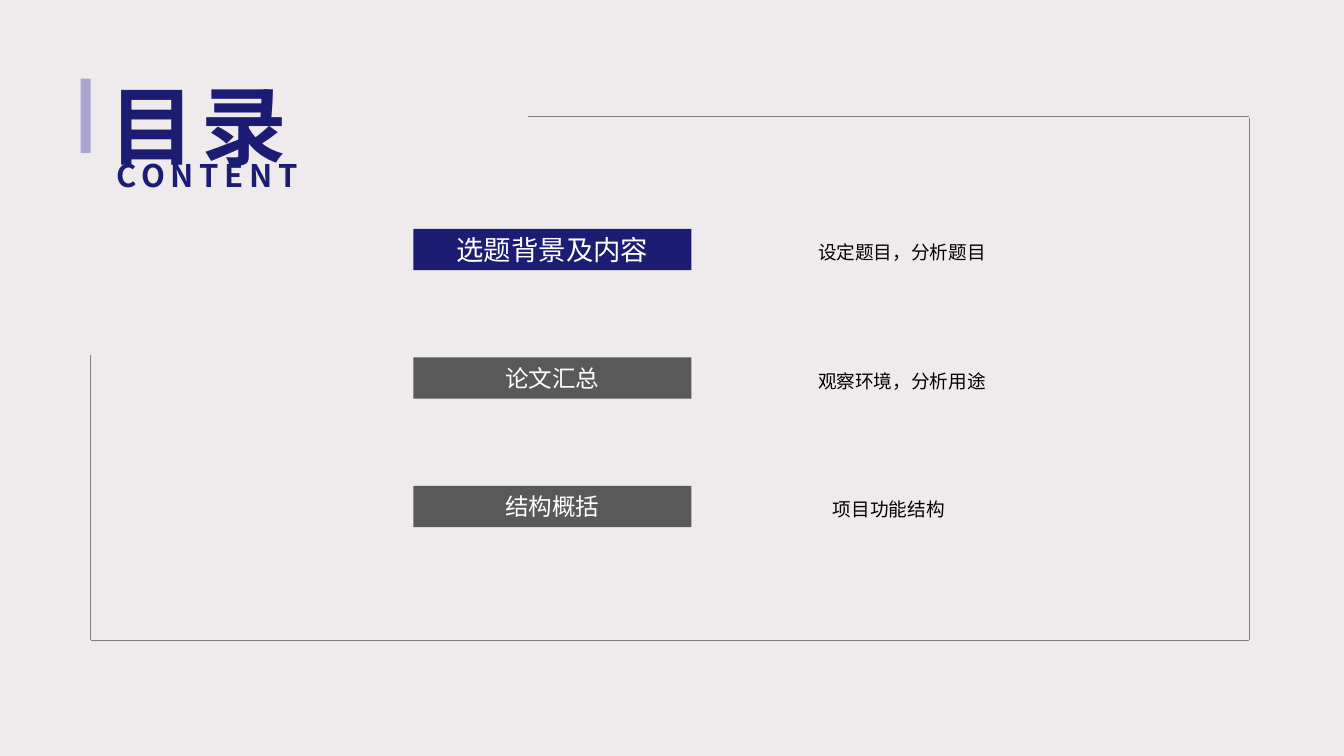
from dataclasses import dataclass

from lxml import etree
from pptx import Presentation
from pptx import util as u
from pptx.dml.color import RGBColor
from pptx.enum import shapes, text
from pptx.oxml.ns import qn

FONT = "Noto Sans CJK SC"
NAVY, GREY, LILAC, LINE = "1C1C73", "595959", "AAA4D1", "808080"
WHITE, BLACK, BACKGROUND = "FFFFFF", "000000", "EFEBEC"

# The slide is a grid of 100 columns by 100 rows
WIDTH, HEIGHT = u.Inches(13.33), u.Inches(7.5)
ENTRY_TOP, NOTE_TOP, ROW_PITCH = 30.27, 28.4, 17


@dataclass
class Box:
    left: float
    top: float
    width: float
    height: float

    def emu(self) -> tuple[int, int, int, int]:
        return (column(self.left), row(self.top),
                column(self.width), row(self.height))


@dataclass
class Entry:
    label: str
    size: float
    fill: str
    note: str
    note_left: float


@dataclass
class FrameLine:
    x1: float
    y1: float
    x2: float
    y2: float


ENTRIES = [
    Entry("选题背景及内容", 19.6, NAVY, "设定题目，分析题目", 56.78),
    Entry("论文汇总", 16.8, GREY, "观察环境，分析用途", 56.78),
    Entry("结构概括", 16.8, GREY, "项目功能结构", 55.8),
]
FRAME = [
    FrameLine(39.3, 15.33, 92.95, 15.33),
    FrameLine(92.95, 15.6, 92.95, 84.67),
    FrameLine(92.95, 84.67, 6.75, 84.67),
    FrameLine(6.75, 84.67, 6.75, 46.93),
]


def column(value: float) -> int:
    return round(WIDTH * value / 100)


def row(value: float) -> int:
    return round(HEIGHT * value / 100)


def colour(value: str) -> RGBColor:
    return RGBColor.from_string(value)


def write(shape, words: str, size: float, ink: str, align, bold=False,
          spacing=0.0, wrap=True, inset=(0.1, 0.05), leading=1.0) -> None:
    frame = shape.text_frame
    frame.text = words
    frame.word_wrap = wrap
    frame.auto_size = text.MSO_AUTO_SIZE.NONE
    frame.vertical_anchor = text.MSO_ANCHOR.MIDDLE
    frame.margin_left = frame.margin_right = u.Inches(inset[0])
    frame.margin_top = frame.margin_bottom = u.Inches(inset[1])
    paragraph = frame.paragraphs[0]
    paragraph.alignment = align
    paragraph.line_spacing = leading
    font = paragraph.runs[0].font
    font.name, font.size, font.bold = FONT, u.Pt(size), bold
    font.color.rgb = colour(ink)
    # East Asian typeface and letter spacing
    properties = paragraph.runs[0]._r.get_or_add_rPr()
    etree.SubElement(properties, qn("a:ea")).set("typeface", FONT)
    if spacing:
        properties.set("spc", str(round(spacing * 100)))


def add_bar(slide, box: Box, fill: str):
    bar = slide.shapes.add_shape(shapes.MSO_SHAPE.RECTANGLE, *box.emu())
    bar.shadow.inherit = False
    bar.fill.solid()
    bar.fill.fore_color.rgb = colour(fill)
    bar.line.fill.background()
    return bar


def add_entry(slide, entry: Entry, index: int) -> None:
    offset = index * ROW_PITCH
    bar = add_bar(slide, Box(30.75, ENTRY_TOP + offset, 20.7, 5.47), entry.fill)
    write(bar, entry.label, entry.size, WHITE, text.PP_ALIGN.CENTER,
          wrap=False, inset=(0.13, 0.07))
    note_box = Box(entry.note_left, NOTE_TOP + offset, 20.67, 9.33)
    note = slide.shapes.add_textbox(*note_box.emu())
    write(note, entry.note, 13.3, BLACK, text.PP_ALIGN.CENTER,
          inset=(0, 0), leading=1.2)


def add_frame_line(slide, side: FrameLine) -> None:
    edge = slide.shapes.add_connector(
        shapes.MSO_CONNECTOR.STRAIGHT,
        column(side.x1), row(side.y1), column(side.x2), row(side.y2))
    edge.line.color.rgb = colour(LINE)
    edge.line.width = u.Pt(0.5)
    etree.SubElement(edge._element.spPr, qn("a:effectLst"))


def main() -> None:
    deck = Presentation()
    deck.slide_width, deck.slide_height = WIDTH, HEIGHT
    slide = deck.slides.add_slide(deck.slide_layouts[5])
    slide.background.fill.solid()
    slide.background.fill.fore_color.rgb = colour(BACKGROUND)

    # Heading with its accent bar
    heading = slide.shapes.title
    heading.left, heading.top, heading.width, heading.height = Box(
        7.43, 9.73, 30.16, 13.47).emu()
    write(heading, "目录", 61.2, NAVY, text.PP_ALIGN.LEFT, bold=True, spacing=4)
    add_bar(slide, Box(6, 10.4, 0.75, 9.87), LILAC)

    # Contents entries
    for index, entry in enumerate(ENTRIES):
        add_entry(slide, entry, index)

    # Subheading
    subheading = slide.shapes.add_textbox(*Box(7.95, 20.53, 13.05, 5.33).emu())
    write(subheading, "CONTENT", 22.2, NAVY, text.PP_ALIGN.JUSTIFY, bold=True,
          spacing=4, wrap=False)

    # Open frame around the contents
    for side in FRAME:
        add_frame_line(slide, side)

    deck.save("out.pptx")


if __name__ == "__main__":
    main()
